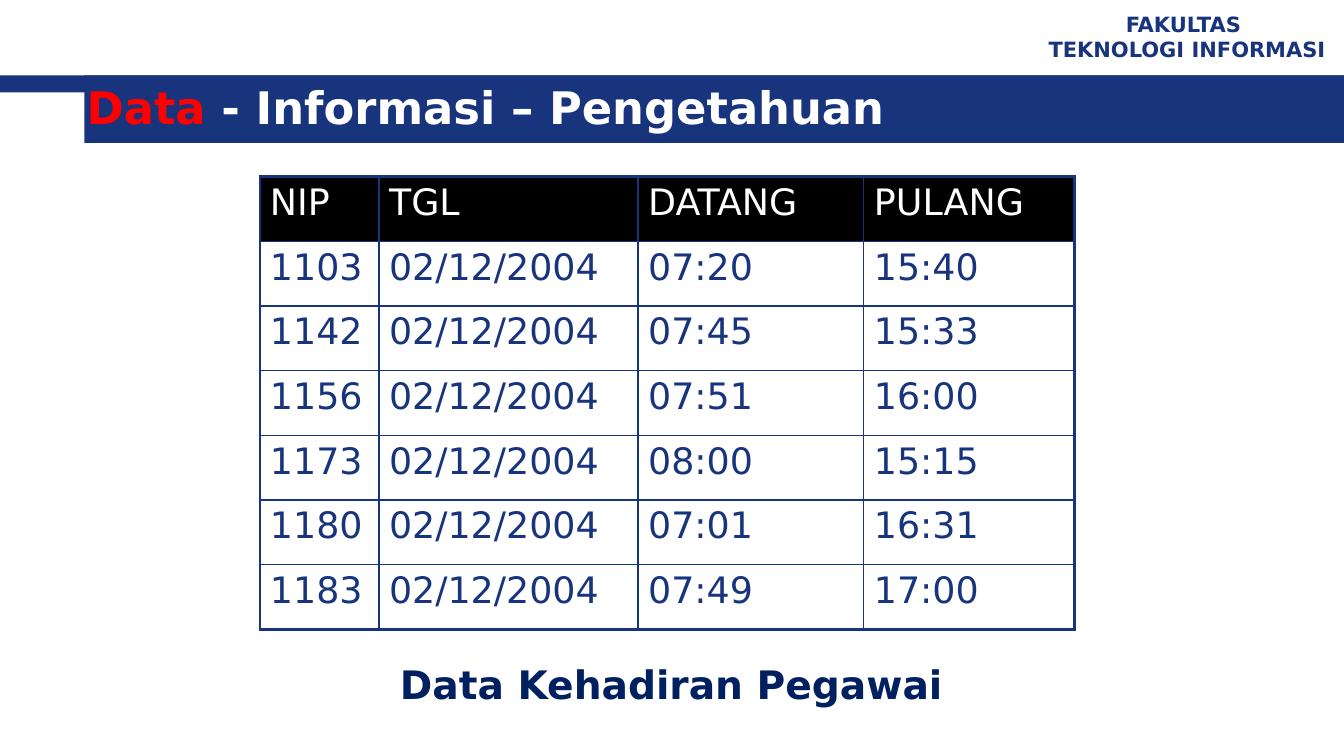
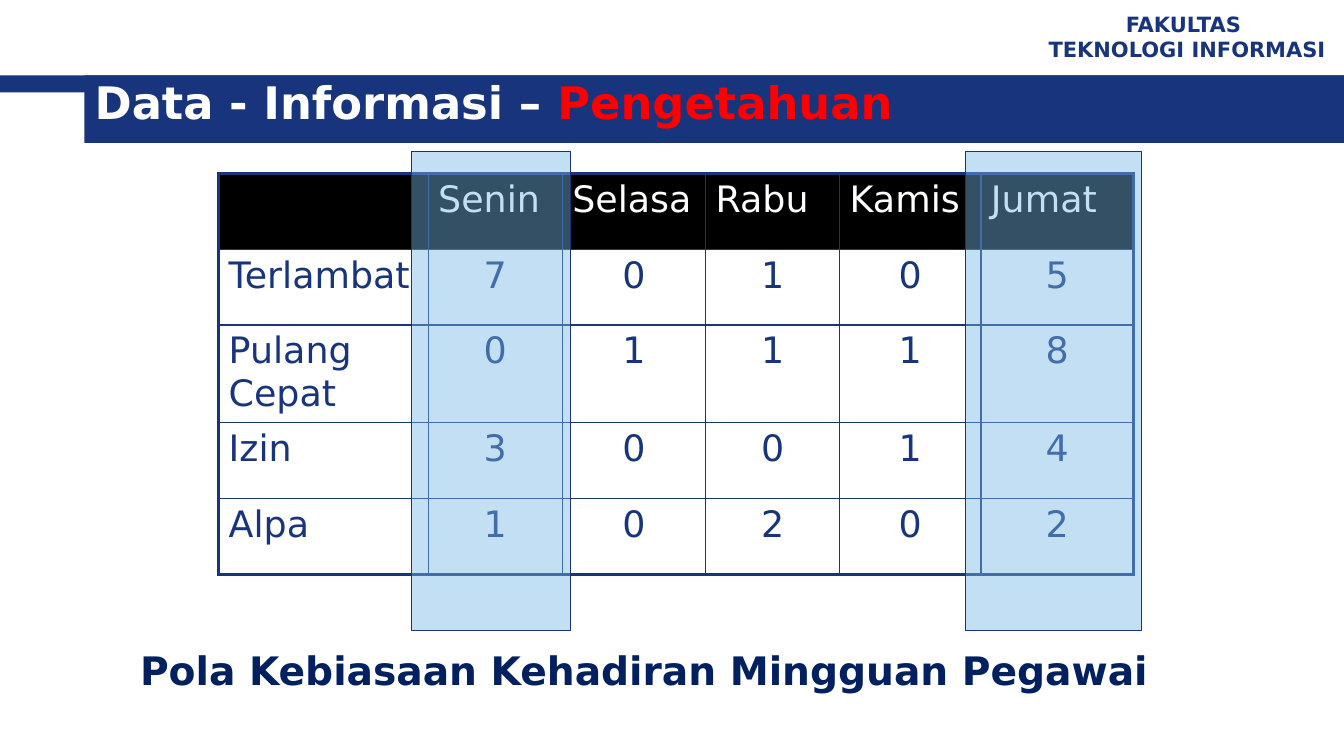
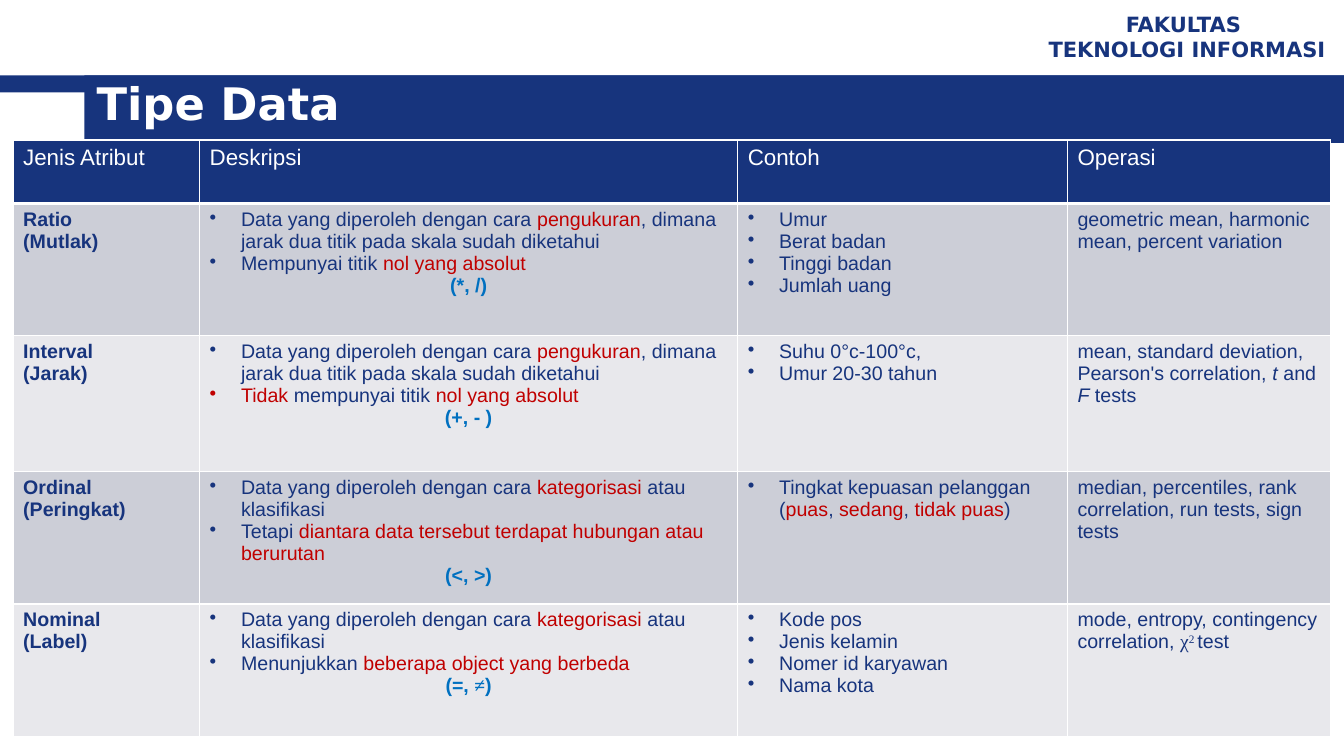
import lxml.etree
import pptx
import pptx.dml.color
import pptx.enum.shapes
import pptx.enum.text
import pptx.oxml.ns
import pptx.util

Cm = pptx.util.Cm
Pt = pptx.util.Pt
RGBColor = pptx.dml.color.RGBColor
ALIGN = pptx.enum.text.PP_ALIGN
ANCHOR = pptx.enum.text.MSO_ANCHOR
RECTANGLE = pptx.enum.shapes.MSO_SHAPE.RECTANGLE
qn = pptx.oxml.ns.qn

# Colours
NAVY = RGBColor(0x17, 0x34, 0x7D)
DARK_NAVY = RGBColor(0x00, 0x20, 0x60)
WHITE = RGBColor(0xFF, 0xFF, 0xFF)
BLACK = RGBColor(0x00, 0x00, 0x00)
BRIGHT_RED = RGBColor(0xFF, 0x00, 0x00)
DARK_RED = RGBColor(0xC0, 0x00, 0x00)
BLUE = RGBColor(0x00, 0x70, 0xC0)
SKY = RGBColor(0x77, 0xB7, 0xE7)
GREY = RGBColor(0xCC, 0xCE, 0xD7)
LIGHT_GREY = RGBColor(0xE8, 0xE8, 0xEC)

# Text formats
LABEL = {"name": "DejaVu Sans", "size": Pt(15), "bold": True, "color": NAVY}
TITLE = {**LABEL, "size": Pt(32), "color": WHITE}
CAPTION = {**LABEL, "size": Pt(28), "color": DARK_NAVY}
FIGURE = {"name": "DejaVu Sans", "size": Pt(26), "bold": False, "color": NAVY}
FIGURE_HEAD = {**FIGURE, "color": WHITE}
TEXT = {"name": "Arial", "size": Pt(14), "bold": False, "color": NAVY}
TEXT_HEAD = {**TEXT, "size": Pt(16), "color": WHITE}

# Departures from a format
STRESS = {"color": BRIGHT_RED}
RED = {"color": DARK_RED}
BOLD = {"bold": True}
SIGN = {"color": BLUE, "bold": True}
ITALIC = {"italic": True}
SERIF = {"name": "Times New Roman"}


def write(para, spans, style, align=ALIGN.LEFT, bullet=False):
    """Fill a paragraph with spans: plain strings or (text, changes) pairs."""
    para.alignment = align
    para.space_before = Pt(0)
    properties = para._p.get_or_add_pPr()
    indent = Cm(0.79) if bullet else 0
    properties.set("marL", str(indent))
    properties.set("indent", str(-indent))
    if bullet:
        lxml.etree.SubElement(properties, qn("a:buChar"), char="•")
    else:
        lxml.etree.SubElement(properties, qn("a:buNone"))
    for item in spans:
        text, changes = (item, {}) if isinstance(item, str) else item
        span = para.add_run()
        span.text = text
        for key, value in {**style, **changes}.items():
            if key == "color":
                span.font.color.rgb = value
            elif key == "baseline":
                span.font._element.set("baseline", value)
            else:
                setattr(span.font, key, value)


def add_grid(page, left, top, widths, heights, rule, outer, header_rule, fills):
    """Add a table with ruled cells; fills holds the header, then the bands."""
    frame = page.shapes.add_table(len(heights), len(widths), Cm(left), Cm(top),
                                  Cm(sum(widths)), Cm(sum(heights)))
    table = frame.table
    table.first_row = table.horz_banding = False
    for column, width in zip(table.columns, widths):
        column.width = Cm(width)
    for row, height in zip(table.rows, heights):
        row.height = Cm(height)
    header, *bands = fills
    last_row, last_column = len(heights) - 1, len(widths) - 1
    for r in range(len(heights)):
        for c in range(len(widths)):
            cell = table.cell(r, c)
            borders = {
                "a:lnL": outer if c == 0 else 1,
                "a:lnR": outer if c == last_column else 1,
                "a:lnT": {0: outer, 1: header_rule}.get(r, 1),
                "a:lnB": outer if r == last_row else header_rule if r == 0 else 1,
            }
            properties = cell._tc.get_or_add_tcPr()
            for tag, width in borders.items():
                line = lxml.etree.SubElement(properties, qn(tag), w=str(Pt(width)))
                solid = lxml.etree.SubElement(line, qn("a:solidFill"))
                lxml.etree.SubElement(solid, qn("a:srgbClr"), val=str(rule))
            cell.fill.solid()
            cell.fill.fore_color.rgb = bands[(r - 1) % len(bands)] if r else header
    return table


deck = pptx.Presentation()
deck.slide_width, deck.slide_height = Cm(33.87), Cm(19.05)

# Pages: layout, title place, title spans, caption place, caption
PAGES = [
    (1, (1.93, 1.73, 23.65, 1.91),
     [("Data", STRESS), " - Informasi – Pengetahuan"],
     (5.97, 16.51, 21.89, 1.57), "Data Kehadiran Pegawai"),
    (1, (2.13, 1.63, 23.65, 1.85),
     ["Data - Informasi – ", ("Pengetahuan", STRESS)],
     (2.13, 16.15, 28.19, 1.57), "Pola Kebiasaan Kehadiran Mingguan Pegawai"),
    (5, (2.18, 1.73, 23.67, 1.7), ["Tipe Data"], None, None),
]
pages = []
for layout, title_place, title_spans, caption_place, caption in PAGES:
    page = deck.slides.add_slide(deck.slide_layouts[layout])
    pages.append(page)
    parts = [(page.shapes.title, title_place, title_spans, TITLE,
              ALIGN.LEFT, ANCHOR.MIDDLE)]
    if caption:
        parts.append((page.placeholders[1], caption_place, [caption], CAPTION,
                      ALIGN.CENTER, ANCHOR.TOP))
    for box, place, spans, style, align, anchor in parts:
        box.left, box.top, box.width, box.height = map(Cm, place)
        box.text_frame.auto_size = pptx.enum.text.MSO_AUTO_SIZE.NONE
        box.text_frame.vertical_anchor = anchor
        write(box.text_frame.paragraphs[0], spans, style, align)
attendance_page, pattern_page, types_page = pages

# Bands and faculty label, moved to the slide master
master_parts = []
for place in [(0, 1.9, 33.87, 0.43), (2.13, 1.9, 31.74, 1.7)]:
    band = attendance_page.shapes.add_shape(RECTANGLE, *map(Cm, place))
    band.shadow.inherit = False
    band.fill.solid()
    band.fill.fore_color.rgb = NAVY
    band.line.fill.background()
    master_parts.append(band)
faculty = attendance_page.shapes.add_textbox(Cm(25.98), Cm(0.13), Cm(7.87), Cm(1.57))
faculty.text_frame.word_wrap = True
faculty.text_frame.vertical_anchor = ANCHOR.MIDDLE
write(faculty.text_frame.paragraphs[0], ["FAKULTAS "], LABEL, ALIGN.CENTER)
write(faculty.text_frame.add_paragraph(), ["TEKNOLOGI INFORMASI"], LABEL, ALIGN.CENTER)
master_parts.append(faculty)
for number, part in enumerate(master_parts, start=101):
    part.element.nvSpPr.cNvPr.set("id", str(number))
    deck.slide_master.shapes.element.append(part.element)

# Slides 1 and 2: tables of figures
ATTENDANCE = [
    ["NIP", "TGL", "DATANG", "PULANG"],
    ["1103", "02/12/2004", "07:20", "15:40"],
    ["1142", "02/12/2004", "07:45", "15:33"],
    ["1156", "02/12/2004", "07:51", "16:00"],
    ["1173", "02/12/2004", "08:00", "15:15"],
    ["1180", "02/12/2004", "07:01", "16:31"],
    ["1183", "02/12/2004", "07:49", "17:00"],
]
PATTERN = [
    ["", "Senin", "Selasa", "Rabu", "Kamis", "Jumat"],
    ["Terlambat", "7", "0", "1", "0", "5"],
    ["Pulang Cepat", "0", "1", "1", "1", "8"],
    ["Izin", "3", "0", "0", "1", "4"],
    ["Alpa", "1", "0", "2", "0", "2"],
]
for page, rows, left, top, widths, heights, figure_align in [
    (attendance_page, ATTENDANCE, 6.55, 4.45, [3, 6.53, 5.69, 5.31],
     [1.63] * 7, ALIGN.LEFT),
    (pattern_page, PATTERN, 5.51, 4.37, [5.28, 3.38, 3.61, 3.38, 3.56, 3.84],
     [1.91, 1.91, 2.46, 1.91, 1.91], ALIGN.CENTER),
]:
    table = add_grid(page, left, top, widths, heights, NAVY, 2.25, 1, [BLACK, WHITE])
    for r, row in enumerate(rows):
        for c, text in enumerate(row):
            if text:
                write(table.cell(r, c).text_frame.paragraphs[0], [text],
                      FIGURE if r else FIGURE_HEAD,
                      figure_align if r and c else ALIGN.LEFT)

# Slide 2: translucent columns over Monday and Friday
for left, width in [(10.36, 4.01), (24.33, 4.45)]:
    highlight = pattern_page.shapes.add_shape(RECTANGLE, Cm(left), Cm(3.81),
                                              Cm(width), Cm(12.07))
    highlight.shadow.inherit = False
    highlight.fill.solid()
    highlight.fill.fore_color.rgb = SKY
    colour = highlight.element.spPr.find(qn("a:solidFill"))[0]
    lxml.etree.SubElement(colour, qn("a:alpha"), val="44000")
    highlight.line.color.rgb = NAVY
    highlight.line.width = Pt(0.75)

# Slide 3: attribute types as name, label, description, sign, examples, operations
MEASURED = ["Data yang diperoleh dengan cara ", ("pengukuran", RED),
            ", dimana jarak dua titik pada skala sudah diketahui"]
CATEGORISED = ["Data yang diperoleh dengan cara ", ("kategorisasi ", RED),
               "atau klasifikasi"]
TYPES = [
    ("Ratio", "(Mutlak)",
     [MEASURED, ["Mempunyai titik ", ("nol yang absolut", RED)]],
     [("(*, /)", SIGN)],
     [["Umur"], ["Berat badan"], ["Tinggi badan"], ["Jumlah uang"]],
     ["geometric mean, harmonic mean, percent variation"]),
    ("Interval", "(Jarak)",
     [MEASURED, [("Tidak ", RED), "mempunyai titik ", ("nol yang absolut", RED)]],
     [("(+, - )", SIGN)],
     [["Suhu 0°c-100°c,"], ["Umur 20-30 tahun"]],
     ["mean, standard deviation, Pearson's correlation, ", ("t", ITALIC), " and ",
      ("F", ITALIC), " tests"]),
    ("Ordinal", "(Peringkat)",
     [CATEGORISED,
      ["Tetapi ", ("diantara data tersebut terdapat hubungan atau berurutan", RED)]],
     [("(<, >)", SIGN)],
     [["Tingkat kepuasan pelanggan (", ("puas", RED), ", ", ("sedang", RED), ", ",
       ("tidak puas", RED), ")"]],
     ["median, percentiles, rank correlation, run tests, sign tests"]),
    ("Nominal", "(Label)",
     [CATEGORISED, ["Menunjukkan ", ("beberapa object yang berbeda", RED)]],
     [("(=, ", SIGN), ("≠", {**SIGN, **SERIF}), (")", SIGN)],
     [["Kode pos"], ["Jenis kelamin"], ["Nomer id karyawan"], ["Nama kota"]],
     ["mode, entropy, contingency correlation, ", ("χ", SERIF),
      ("2 ", {**SERIF, "baseline": "30000"}), "test"]),
]
table = add_grid(types_page, 0.33, 3.53, [4.7, 13.56, 8.31, 6.63],
                 [1.6, 3.33, 3.43, 3.33, 3.33], WHITE, 1, 3, [NAVY, GREY, LIGHT_GREY])
for c, heading in enumerate(["Jenis Atribut", "Deskripsi", "Contoh", "Operasi"]):
    write(table.cell(0, c).text_frame.paragraphs[0], [heading], TEXT_HEAD)
for r, (name, label, description, sign, examples, operations) in enumerate(TYPES, 1):
    columns = [
        [([(name, BOLD)], {}), ([(label, BOLD)], {})],
        [(spans, {"bullet": True}) for spans in description]
        + [(sign, {"align": ALIGN.CENTER})],
        [(spans, {"bullet": True}) for spans in examples],
        [(operations, {})],
    ]
    for c, paragraphs in enumerate(columns):
        frame = table.cell(r, c).text_frame
        for n, (spans, options) in enumerate(paragraphs):
            para = frame.add_paragraph() if n else frame.paragraphs[0]
            write(para, spans, TEXT, **options)

deck.save("out.pptx")
